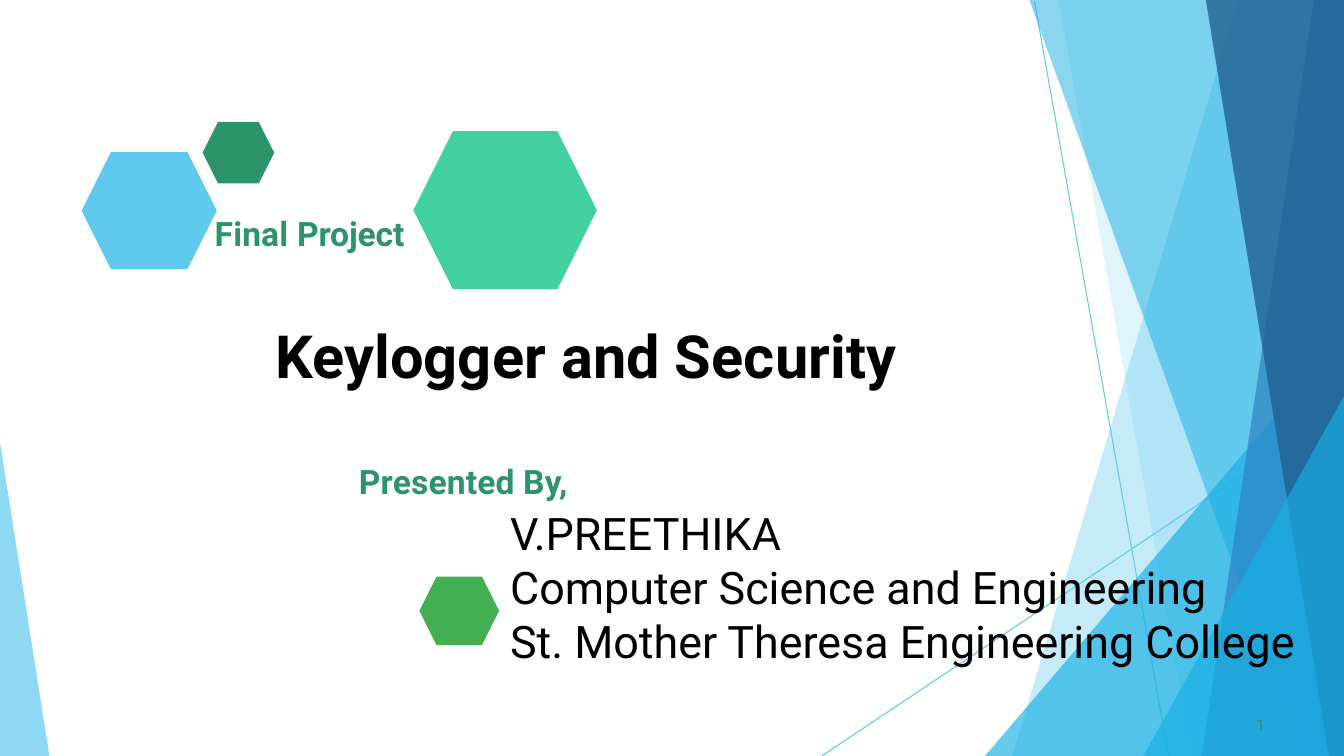
"""Builds the title slide of a keylogger project with layered facets."""
from pptx import Presentation
from pptx import util as u
from pptx.dml.color import RGBColor
from pptx.enum import shapes, text
from pptx.oxml.ns import qn
from lxml import etree

W, H = 13.33, 7.5
FONT = "Roboto"
SKY = RGBColor(0x5F, 0xCA, 0xEE)
AZURE = RGBColor(0x17, 0xAF, 0xE3)
BLUE = RGBColor(0x2D, 0x83, 0xC3)
NAVY = RGBColor(0x22, 0x61, 0x92)
PINE = RGBColor(0x2D, 0x93, 0x6B)
MINT = RGBColor(0x42, 0xD0, 0xA1)
GREEN = RGBColor(0x42, 0xAF, 0x51)
BLACK = RGBColor(0, 0, 0)

LINES = [((10.26, 0.01), (11.59, H)), ((W, 4.04), (8.15, H))]

# Corner points, colour, opacity in percent
FACETS = [
    ([(W, 0), (12.28, 0), (10.04, H), (W, H)], SKY, 36),
    ([(W, 0), (10.5, 0), (11.82, H), (W, H)], SKY, 20),
    ([(W, 3.33), (9.77, H), (W, H)], AZURE, 66),
    ([(W, 0), (10.21, 0), (12.91, H), (W, H)], AZURE, 50),
    ([(W, 0), (13.03, 0), (11.92, H), (W, H)], BLUE, 70),
    ([(W, 0), (11.96, 0), (13.18, H), (W, H)], NAVY, 80),
    ([(W, 3.93), (11.34, H), (W, H)], AZURE, 66),
    ([(0, 4.39), (0, H), (0.49, H)], SKY, 70),
]

HEXAGONS = [
    ((0.81, 1.51, 1.34, 1.16), SKY),
    ((2.01, 1.21, 0.71, 0.61), PINE),
    ((4.1, 1.3, 1.82, 1.57), MINT),
    ((4.16, 5.72, 0.79, 0.68), GREEN),
]

# Box, top inset, indent, space before, size, colour, bold, lines of (run, tracking)
TEXTS = [
    ((1.55, 5, 11.39, 1.63), 0.02, 3.51, 1.3, 32, BLACK, False,
     [[("V.PREETHIKA", 0)], [("Computer Science and Engineering", 0)],
      [("St. Mother Theresa Engineering College", 0)]]),
    ((2.12, 2.1, 2.03, 0.43), 0.01, 0.01, 1, 24, PINE, True,
     [[("Final ", 0.1), ("Project", -0.1)]]),
    ((12.42, 7.08, 0.17, 0.21), 0.01, 0.04, 0.6, 11, PINE, False, [[("1", 0.1)]]),
    ((2.72, 3.15, 6.78, 0.73), 0.02, 0.01, 1.3, 42.5, BLACK, True,
     [[("Keylogger and Security", 0.1)]]),
    ((3.55, 4.56, 2.25, 0.42), 0.01, 0.01, 1, 24, PINE, True,
     [[("Presented By,", 0.1)]]),
]


def inches(values):
    return [u.Inches(v) for v in values]


def paint(sp, color, opacity=100):
    sp.shadow.inherit = False
    sp.line.fill.background()
    sp.fill.solid()
    sp.fill.fore_color.rgb = color
    if opacity < 100:
        clr = sp.fill._xPr.find(qn("a:solidFill"))[0]
        etree.SubElement(clr, qn("a:alpha")).set("val", str(opacity * 1000))


def add_line(s, start, end):
    ln = s.shapes.add_connector(shapes.MSO_CONNECTOR.STRAIGHT, *inches(start + end))
    ln.line.color.rgb = SKY
    ln.line.width = u.Pt(0.75)
    etree.SubElement(ln._element.spPr, qn("a:effectLst"))


def add_facet(s, points, color, opacity):
    first, *rest = [inches(pt) for pt in points]
    fb = s.shapes.build_freeform(*first)
    fb.add_line_segments(rest, close=True)
    paint(fb.convert_to_shape(), color, opacity)


def add_text(s, box, inset, indent, before, size, color, bold, lines):
    tf = s.shapes.add_textbox(*inches(box)).text_frame
    tf.word_wrap = True
    tf.vertical_anchor = text.MSO_ANCHOR.TOP
    tf.margin_left = tf.margin_right = tf.margin_bottom = 0
    tf.margin_top = u.Inches(inset)
    p = tf.paragraphs[0]
    p.space_before = u.Pt(before)
    p._p.get_or_add_pPr().set("marL", str(u.Inches(indent)))
    for i, line in enumerate(lines):
        if i:
            p.add_line_break()
        for words, tracking in line:
            r = p.add_run()
            r.text = words
            r.font.name = FONT
            r.font.size = u.Pt(size)
            r.font.bold = bold
            r.font.color.rgb = color
            r._r.get_or_add_rPr().set("spc", str(round(tracking * 100)))


def main():
    prs = Presentation()
    prs.slide_width, prs.slide_height = inches((W, H))
    s = prs.slides.add_slide(prs.slide_layouts[6])
    for start, end in LINES:
        add_line(s, start, end)
    for facet in FACETS:
        add_facet(s, *facet)
    for box, color in HEXAGONS:
        paint(s.shapes.add_shape(shapes.MSO_SHAPE.HEXAGON, *inches(box)), color)
    for item in TEXTS:
        add_text(s, *item)
    prs.save("out.pptx")


if __name__ == "__main__":
    main()
